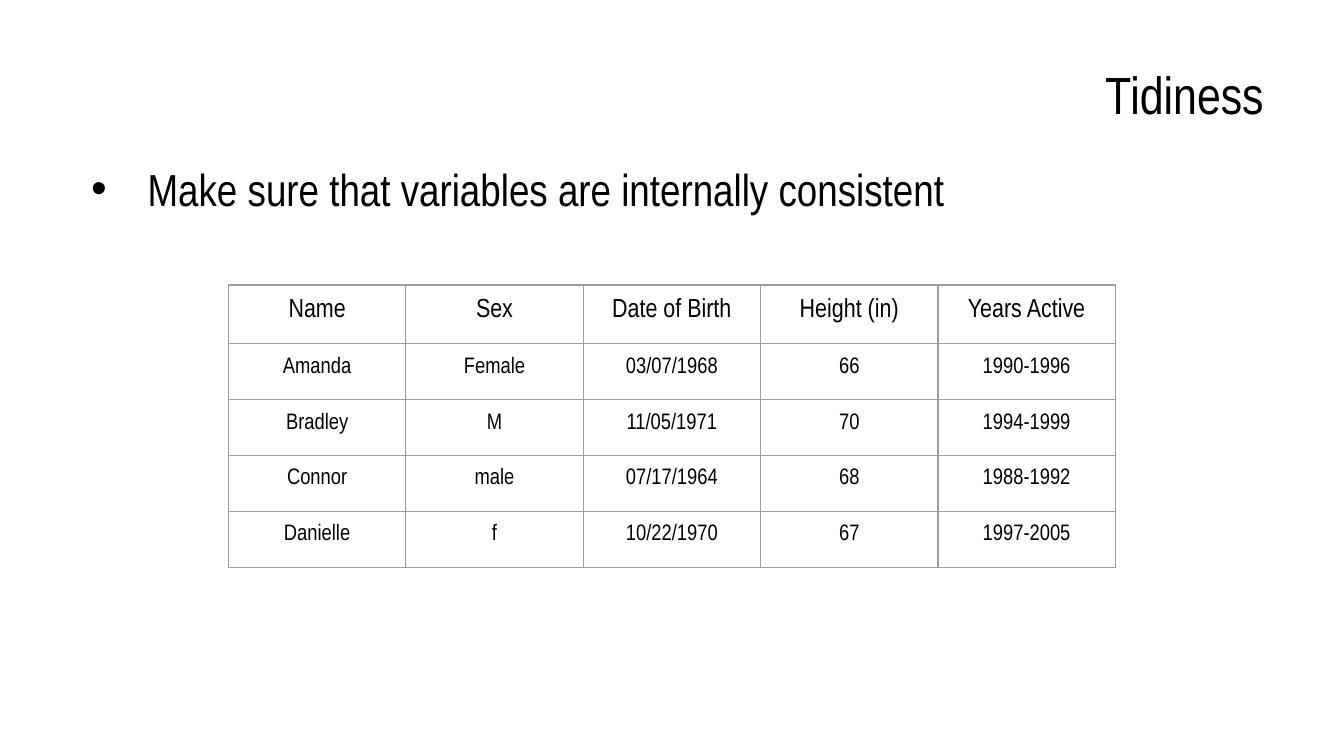
import pptx
import pptx.dml.color
import pptx.enum.text
import pptx.oxml
import pptx.oxml.ns
import pptx.util
from pptx.util import Inches

BLACK = pptx.dml.color.RGBColor(0x00, 0x00, 0x00)
GRAY = pptx.dml.color.RGBColor(0x9E, 0x9E, 0x9E)
FONT = "Arial Narrow"
ALIGN = pptx.enum.text.PP_ALIGN
ANCHOR = pptx.enum.text.MSO_ANCHOR
INSET = Inches(0.1)

ROWS = [
    ("Name", "Sex", "Date of Birth", "Height (in)", "Years Active"),
    ("Amanda", "Female", "03/07/1968", "66", "1990-1996"),
    ("Bradley", "M", "11/05/1971", "70", "1994-1999"),
    ("Connor", "male", "07/17/1964", "68", "1988-1992"),
    ("Danielle", "f", "10/22/1970", "67", "1997-2005"),
]


def add_xml(parent, body):
    space = pptx.oxml.ns.nsdecls("a")
    parent.append(pptx.oxml.parse_xml(body.replace(" ", f" {space} ", 1)))


def write(frame, text, size, align):
    """Fill a text frame with one styled paragraph and return it."""
    para = frame.paragraphs[0]
    para.text = text
    para.alignment = align
    for run in para.runs:
        run.font.name = FONT
        run.font.size = pptx.util.Pt(size)
        run.font.color.rgb = BLACK
    return para


def pad(area):
    area.margin_left = area.margin_right = INSET
    area.margin_top = area.margin_bottom = INSET


def add_text(slide, top, height, text, size, align, anchor):
    box = slide.shapes.add_textbox(
        Inches(0.5), Inches(top), Inches(9), Inches(height))
    frame = box.text_frame
    frame.word_wrap = True
    frame.vertical_anchor = anchor
    pad(frame)
    return write(frame, text, size, align)


def add_bullet(para):
    para.space_after = pptx.util.Pt(10)
    props = para._p.get_or_add_pPr()
    props.set("marL", str(Inches(0.5)))
    props.set("indent", str(Inches(-0.42)))
    add_xml(props, f'<a:buClr ><a:srgbClr val="{BLACK}"/></a:buClr>')
    add_xml(props, '<a:buFont typeface="Arial"/>')
    add_xml(props, '<a:buChar char="•"/>')


def add_borders(cell):
    props = cell._tc.get_or_add_tcPr()
    width = pptx.util.Pt(0.75)
    for side in "LRTB":
        add_xml(props, f'<a:ln{side} w="{width}"><a:solidFill>'
                       f'<a:srgbClr val="{GRAY}"/></a:solidFill></a:ln{side}>')


def add_grid(slide):
    count, wide = len(ROWS), len(ROWS[0])
    table = slide.shapes.add_table(
        count, wide, Inches(1.7), Inches(2.12),
        Inches(1.32 * wide), pptx.util.Pt(30 * count)).table
    table.first_row = table.horz_banding = False
    for row, values in enumerate(ROWS):
        size = 14 if row == 0 else 12
        for col, text in enumerate(values):
            cell = table.cell(row, col)
            pad(cell)
            add_borders(cell)
            cell.fill.background()
            write(cell.text_frame, text, size, ALIGN.CENTER)


def main():
    deck = pptx.Presentation()
    deck.slide_width = Inches(10)
    deck.slide_height = deck.slide_width * 9 // 16
    slide = deck.slides.add_slide(deck.slide_layouts[6])
    add_text(slide, 0.23, 0.94, "Tidiness", 28, ALIGN.RIGHT, ANCHOR.MIDDLE)
    point = add_text(
        slide, 1.1, 3.71, "Make sure that variables are internally consistent",
        24, ALIGN.LEFT, ANCHOR.TOP)
    add_bullet(point)
    add_grid(slide)
    deck.save("out.pptx")


if __name__ == "__main__":
    main()
